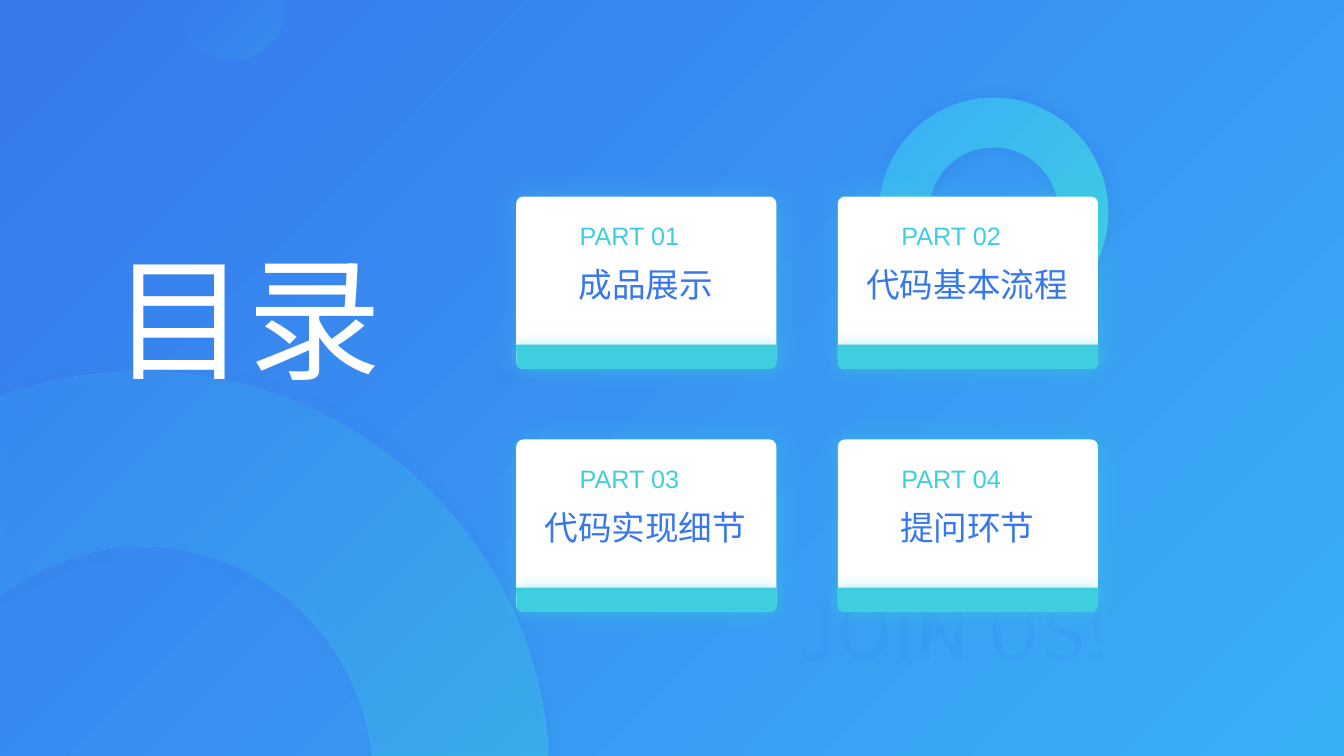
"""Build the contents slide with four part cards on a blue gradient."""
import lxml.etree
import pptx
import pptx.dml.color
import pptx.enum.shapes
import pptx.enum.text
import pptx.oxml
import pptx.oxml.ns
import pptx.util
from pptx.util import Inches

RGBColor = pptx.dml.color.RGBColor
SHAPES = pptx.enum.shapes.MSO_SHAPE
ALIGN = pptx.enum.text.PP_ALIGN
ANCHOR = pptx.enum.text.MSO_ANCHOR
AUTO_SIZE = pptx.enum.text.MSO_AUTO_SIZE

BLUE = RGBColor(0x37, 0x78, 0xED)
SKY = RGBColor(0x39, 0xAF, 0xF7)
TEAL = RGBColor(0x3F, 0xCE, 0xE0)
WHITE = RGBColor(0xFF, 0xFF, 0xFF)

HEADING = "目录"
SLOGAN = "JOIN US!"
PARTS = [
    ("PART 01", "成品展示"),
    ("PART 02", "代码基本流程"),
    ("PART 03", "代码实现细节"),
    ("PART 04", "提问环节"),
]

BALL_START = (1.78, 0)
BALL_SEGMENTS = [
    [(2.81, 0)],
    [(2.82, 0.07)],
    [(2.82, 0.35), (2.58, 0.59), (2.3, 0.59)],
    [(2.01, 0.59), (1.78, 0.35), (1.78, 0.07)],
]
RING_START = (1.41, 3.69)
RING_SEGMENTS = [
    [(3.49, 3.69), (5.21, 5.27), (5.42, 7.3)],
    [(5.43, 7.5)],
    [(3.69, 7.5)],
    [(3.69, 7.48)],
    [(3.57, 6.33), (2.6, 5.42), (1.41, 5.42)],
    [(0.94, 5.42), (0.49, 5.57), (0.13, 5.82)],
    [(0, 5.91)],
    [(0, 3.94)],
    [(0.03, 3.93)],
    [(0.46, 3.77), (0.92, 3.69), (1.41, 3.69)],
]

SLIDE_WIDTH, SLIDE_HEIGHT = 13.33, 7.5
CARD_LEFT, CARD_TOP, CARD_WIDTH, CARD_HEIGHT = 5.12, 1.95, 2.58, 1.71
COLUMN_STEP, ROW_STEP = 3.19, 2.41
STRIPE_HEIGHT = 0.24
CHARACTER_WIDTH = 24.2 / 72

HEADING_FORMAT = {"size": pptx.util.Pt(96), "name": "Noto Sans CJK JP"}
SLOGAN_FORMAT = {"size": pptx.util.Pt(54), "name": "Noto Sans CJK SC"}
NUMBER_FORMAT = {"size": pptx.util.Pt(18), "name": "Arial"}
NAME_FORMAT = {"size": pptx.util.Pt(24), "name": "Arial"}


def add_alpha(color_element, percent):
    alpha = pptx.oxml.parse_xml(
        f'<a:alpha {pptx.oxml.ns.nsdecls("a")} val="{percent * 1000}"/>')
    color_element.append(alpha)


def set_gradient(owner, colors, opacities=(100, 100)):
    fill = owner.fill
    fill.gradient()
    fill.gradient_angle = 315
    for stop, color in zip(fill.gradient_stops, colors):
        stop.color.rgb = color
    elements = owner._element.xpath(".//a:gradFill//a:srgbClr")
    for element, opacity in zip(elements, opacities):
        if opacity < 100:
            add_alpha(element, opacity)


def finish_shape(shape, shadow=None):
    shape.line.fill.background()
    shape.shadow.inherit = False
    if shadow:
        color, blur, distance = shadow
        effect = pptx.oxml.parse_xml(
            f'<a:outerShdw {pptx.oxml.ns.nsdecls("a")} blurRad="{pptx.util.Pt(blur)}" '
            f'dist="{pptx.util.Pt(distance)}" dir="0" algn="ctr" rotWithShape="0">'
            f'<a:srgbClr val="{color}"><a:alpha val="40000"/></a:srgbClr></a:outerShdw>')
        shape._element.spPr.xpath("a:effectLst")[0].append(effect)


def add_preset(slide, kind, box, adjustments, color=None, shadow=None):
    shape = slide.shapes.add_shape(kind, *map(Inches, box))
    for index, value in enumerate(adjustments):
        shape.adjustments[index] = value
    if color is not None:
        shape.fill.solid()
        shape.fill.fore_color.rgb = color
    finish_shape(shape, shadow)
    return shape


def add_outline(slide, start, segments, opacities, shadow=None):
    points = [tuple(map(Inches, point)) for segment in segments for point in segment]
    builder = slide.shapes.build_freeform(*map(Inches, start))
    builder.add_line_segments(points, close=True)
    shape = builder.convert_to_shape()
    lines = iter(shape._element.xpath(".//a:lnTo"))
    for segment in segments:
        pieces = [next(lines) for _ in segment]
        if len(pieces) == 3:
            curve = lxml.etree.Element(pptx.oxml.ns.qn("a:cubicBezTo"))
            pieces[0].addprevious(curve)
            for piece in pieces:
                curve.append(piece[0])
                piece.getparent().remove(piece)
    set_gradient(shape, (SKY, TEAL), opacities)
    finish_shape(shape, shadow)


def write_text(shape, text, font_format, color, align, anchor=ANCHOR.TOP,
               wrap=True, auto_size=AUTO_SIZE.SHAPE_TO_FIT_TEXT):
    frame = shape.text_frame
    frame_format = {"margin_left": 0, "margin_right": 0, "margin_top": 0,
                    "margin_bottom": 0, "vertical_anchor": anchor,
                    "word_wrap": wrap, "auto_size": auto_size}
    for key, value in frame_format.items():
        setattr(frame, key, value)
    paragraph = frame.paragraphs[0]
    paragraph.alignment = align
    run = paragraph.add_run()
    run.text = text
    for key, value in font_format.items():
        setattr(run.font, key, value)
    run.font.color.rgb = color
    run.font._element.append(pptx.oxml.parse_xml(
        f'<a:ea {pptx.oxml.ns.nsdecls("a")} typeface="{font_format["name"]}"/>'))
    return run


def add_text(slide, box, *args, **kwargs):
    return write_text(slide.shapes.add_textbox(*map(Inches, box)), *args, **kwargs)


def add_decoration(slide):
    donut = add_preset(slide, SHAPES.DONUT, (8.72, 0.97, 2.27, 2.27), [0.216],
                       shadow=(BLUE, 10, 2))
    set_gradient(donut, (SKY, TEAL))
    slogan = add_text(slide, (7.9, 5.85, 3.26, 0.81), SLOGAN, SLOGAN_FORMAT, BLUE,
                      ALIGN.LEFT, ANCHOR.MIDDLE, auto_size=AUTO_SIZE.NONE)
    add_alpha(slogan.font._element.xpath(".//a:srgbClr")[0], 10)
    add_outline(slide, BALL_START, BALL_SEGMENTS, (0, 20))
    add_outline(slide, RING_START, RING_SEGMENTS, (20, 40), (BLUE, 10, 2))


def add_card(slide, left, top, name):
    add_preset(slide, SHAPES.ROUNDED_RECTANGLE, (left, top, CARD_WIDTH, CARD_HEIGHT),
               [0.04], WHITE, (TEAL, 20, 2))
    name_width = len(name) * CHARACTER_WIDTH
    name_left = left + (CARD_WIDTH - name_width) / 2
    add_text(slide, (name_left, top + 0.67, name_width, 0.4), name, NAME_FORMAT,
             BLUE, ALIGN.JUSTIFY, wrap=False)
    stripe_top = top + CARD_HEIGHT - STRIPE_HEIGHT
    stripe = add_preset(slide, SHAPES.ROUND_2_SAME_RECTANGLE,
                        (left, stripe_top, CARD_WIDTH, STRIPE_HEIGHT),
                        [0.256, 0], TEAL, (TEAL, 10, 0))
    stripe.rotation = 180


def main():
    presentation = pptx.Presentation()
    presentation.slide_width = Inches(SLIDE_WIDTH)
    presentation.slide_height = Inches(SLIDE_HEIGHT)
    slide = presentation.slides.add_slide(presentation.slide_layouts[5])
    set_gradient(slide.background, (BLUE, SKY), (85, 100))
    add_decoration(slide)

    title = slide.shapes.title
    title_box = {"left": 0.23, "top": 2.32, "width": 4.44, "height": 1.62}
    for key, value in title_box.items():
        setattr(title, key, Inches(value))
    write_text(title, HEADING, HEADING_FORMAT, WHITE, ALIGN.CENTER, ANCHOR.MIDDLE)
    title._element.getparent().append(title._element)

    corners = [(CARD_LEFT + index % 2 * COLUMN_STEP, CARD_TOP + index // 2 * ROW_STEP)
               for index in range(len(PARTS))]
    for (left, top), (number, name) in zip(corners, PARTS):
        add_card(slide, left, top, name)
    for (left, top), (number, name) in zip(corners, PARTS):
        add_text(slide, (left + 0.63, top + 0.24, 1.33, 0.3), number,
                 NUMBER_FORMAT, TEAL, ALIGN.JUSTIFY)

    presentation.save("out.pptx")


if __name__ == "__main__":
    main()
